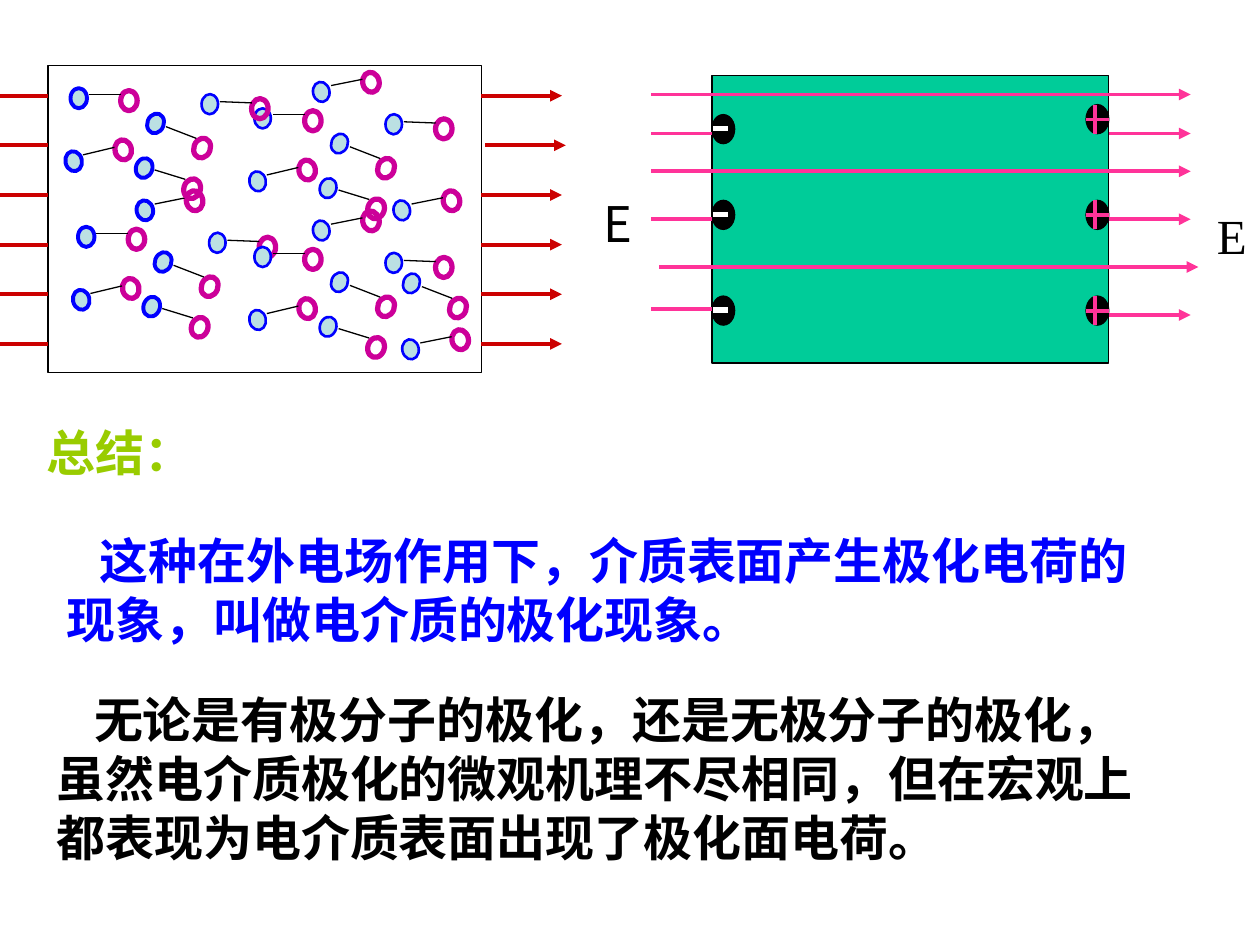
from dataclasses import dataclass

import pptx
import pptx.dml.color
import pptx.enum.shapes
import pptx.enum.text
import pptx.oxml
import pptx.oxml.ns
import pptx.util

Pt = pptx.util.Pt
RGBColor = pptx.dml.color.RGBColor
MSO_SHAPE = pptx.enum.shapes.MSO_SHAPE
TOP, LEFT, BOTTOM, RIGHT = range(4)

BLACK = RGBColor(0x00, 0x00, 0x00)
WHITE = RGBColor(0xFF, 0xFF, 0xFF)
BLUE = RGBColor(0x00, 0x00, 0xFF)
PALE_BLUE = RGBColor(0xBB, 0xE0, 0xE3)
PURPLE = RGBColor(0xCC, 0x00, 0x99)
RED = RGBColor(0xCC, 0x00, 0x00)
PINK = RGBColor(0xFF, 0x33, 0x99)
GREEN = RGBColor(0x00, 0xCC, 0x99)
LIME = RGBColor(0x99, 0xCC, 0x00)

CHINESE_FONT = "Noto Sans CJK SC"
LATIN_FONT = "Times New Roman"


@dataclass(frozen=True)
class Dipole:
    """Ring and bond places are measured from the blue end's corner."""
    rotation: float
    ring: tuple[float, float]
    bond: tuple[float, float, float, float]


@dataclass(frozen=True)
class Caption:
    text: str
    frame: tuple[float, float, float, float]
    color: RGBColor
    font: str = CHINESE_FONT
    bold: bool = True
    indent: float = 0
    line_height: float | None = 33.7
    wrap: bool = True


LEVEL = Dipole(0, (28.7, 1.4), (10.5, 3.7, 28.7, 3.7))
RISING = Dipole(-12.7, (28.3, -6.5), (10, 2.1, 28, -2.2))
GENTLE = Dipole(-11.2, (28.4, -5.5), (10.3, 2.1, 28.2, -1.5))
STEEP = Dipole(21, (26.6, 14.1), (10.7, 7.6, 28, 14.3))
FLAT = Dipole(2.2, (28.6, 2.6), (10.5, 4.3, 28.7, 5))
SLOPING = Dipole(17.2, (27.4, 11.8), (10.7, 6.8, 28.2, 12.2))

CLUSTER = [(LEVEL, 0, 0), (RISING, -2.9, 36), (GENTLE, 33.5, -15.1),
           (STEEP, 43.9, 14.4), (FLAT, 74.9, 3.4), (SLOPING, 37.4, 39.9)]
FULL_CLUSTERS = [(44.6, 129.6), (145.4, 141.1), (145.4, 61.9)]
PARTIAL_CLUSTER = (40.3, 50.4)
SINGLE_DIPOLES = [(GENTLE, 224.9, 114.5), (STEEP, 230.4, 156.2), (GENTLE, 229.9, 193.9)]

TITLE = Caption("总结：", (19.4, 237.8, 118.8, 41), LIME)
CAPTIONS = [
    Caption("E", (688.3, 113.8, 31.7, 41), BLACK, LATIN_FONT, bold=False,
            line_height=None, wrap=False),
    Caption("E", (337.7, 106.7, 31, 41), BLACK, bold=False, wrap=False),
    Caption("这种在外电场作用下，介质表面产生极化电荷的现象，叫做电介质的极化现象。",
            (31, 299.7, 640.8, 74.9), BLUE, indent=19),
    Caption("无论是有极分子的极化，还是无极分子的极化，虽然电介质极化的微观机理不尽相同，"
            "但在宏观上都表现为电介质表面出现了极化面电荷。",
            (25.2, 390.4, 632, 108), BLACK, indent=21.5),
]


def add_outline(page, preset, frame, line_color, line_width, fill=None, rotation=0):
    shape = page.shapes.add_shape(preset, *map(Pt, frame))
    shape.shadow.inherit = False
    shape.rotation = rotation
    if fill is None:
        shape.fill.background()
    else:
        shape.fill.solid()
        shape.fill.fore_color.rgb = fill
    shape.line.color.rgb = line_color
    shape.line.width = Pt(line_width)
    return shape


def add_line(page, ends, color, width=2.25, arrow=False):
    line = page.shapes.add_connector(
        pptx.enum.shapes.MSO_CONNECTOR.STRAIGHT, *map(Pt, ends))
    line.line.color.rgb = color
    line.line.width = Pt(width)
    properties = line._element.spPr
    if arrow:
        head = pptx.oxml.parse_xml(f'<a:tailEnd {pptx.oxml.ns.nsdecls("a")} type="triangle"/>')
        line.line._get_or_add_ln().append(head)
    properties.append(pptx.oxml.parse_xml(f'<a:effectLst {pptx.oxml.ns.nsdecls("a")}/>'))
    return line


def write_caption(box, caption: Caption) -> None:
    box.left, box.top, box.width, box.height = map(Pt, caption.frame)
    frame = box.text_frame
    frame_format = {
        "word_wrap": caption.wrap,
        "vertical_anchor": pptx.enum.text.MSO_ANCHOR.TOP,
        "auto_size": pptx.enum.text.MSO_AUTO_SIZE.SHAPE_TO_FIT_TEXT,
        "margin_left": Pt(7.2), "margin_right": Pt(7.2),
        "margin_top": Pt(3.6), "margin_bottom": Pt(3.6),
    }
    for name, value in frame_format.items():
        setattr(frame, name, value)
    para = frame.paragraphs[0]
    para.alignment = pptx.enum.text.PP_ALIGN.LEFT
    if caption.line_height:
        para.line_spacing = Pt(caption.line_height)
    if caption.indent:
        para._p.get_or_add_pPr().set("indent", str(Pt(caption.indent)))
    span = para.add_run()
    span.text = caption.text
    font_format = {"name": caption.font, "size": Pt(28), "bold": caption.bold}
    for name, value in font_format.items():
        setattr(span.font, name, value)
    span.font.color.rgb = caption.color
    span.font._element.append(pptx.oxml.parse_xml(
        f'<a:ea {pptx.oxml.ns.nsdecls("a")} typeface="{caption.font}"/>'))


def add_dipole(page, dipole: Dipole, left: float, top: float) -> None:
    size = (9.4, 11.5)
    blue_width = 2.25 if left < 108 else 1.5
    add_outline(page, MSO_SHAPE.OVAL, (left, top, *size), BLUE, blue_width,
                PALE_BLUE, dipole.rotation)
    ring_x, ring_y = dipole.ring
    add_outline(page, MSO_SHAPE.OVAL, (left + ring_x, top + ring_y, *size), PURPLE, 3,
                rotation=dipole.rotation)
    x1, y1, x2, y2 = dipole.bond
    add_line(page, (left + x1, top + y1, left + x2, top + y2), BLACK, 0.75)


def add_charge(page, left: float, top: float, positive: bool) -> None:
    add_outline(page, MSO_SHAPE.OVAL, (left, top, 13, 16.6), BLACK, 0.75, BLACK)
    if positive:
        add_line(page, (left, top + 8.5, left + 13, top + 8.5), PINK)
        add_line(page, (left + 5.2, top, left + 5.2, top + 16.6), PINK)
    else:
        add_line(page, (left + 0.7, top + 7.9, left + 9.4, top + 7.9), WHITE, 3)


def draw_polarized_slab(page) -> None:
    left, right = 406.8, 633.6
    slab = add_outline(page, MSO_SHAPE.RECTANGLE, (left, 43.2, right - left, 164.2),
                       BLACK, 0.75, GREEN)
    for top in (65.5, 114.5, 169.2):
        add_charge(page, left, top, positive=False)
    for top in (59.8, 114.5, 169.2):
        add_charge(page, right - 13, top, positive=True)
    for start, y in ((372.2, 54), (376.6, 152.6), (372.2, 97.9)):
        add_line(page, (start, y, start + 308.2, y), PINK, arrow=True)
    add_line(page, (389.5, 97.9, 423.4, 97.9), PINK)
    middle = 125.3
    for y_in, y_out in ((76.3, 76.3), (middle, middle), (176.4, 180)):
        incoming = add_line(page, (372.2, y_in, left, y_in), PINK)
        outgoing = add_line(page, (right, y_out, 680.4, y_out), PINK, arrow=True)
        if y_in == middle:
            incoming.end_connect(slab, LEFT)
            outgoing.begin_connect(slab, RIGHT)


def draw_dipole_box(page) -> None:
    for x, y in FULL_CLUSTERS:
        for dipole, dx, dy in CLUSTER:
            add_dipole(page, dipole, x + dx, y + dy)
    x, y = PARTIAL_CLUSTER
    for dipole, dx, dy in CLUSTER:
        if dipole is not GENTLE:
            add_dipole(page, dipole, x + dx, y + dy)
    for dipole, left, top in SINGLE_DIPOLES:
        add_dipole(page, dipole, left, top)
    add_outline(page, MSO_SHAPE.RECTANGLE, (27.4, 37.4, 247.7, 175.7), BLACK, 0.75)
    for row in range(6):
        y = 54.7 + 28.36 * row
        start = 277.2 if row == 1 else 275
        add_line(page, (0, y, 27.4, y), RED)
        add_line(page, (start, y, start + 46.1, y), RED, arrow=True)


def main() -> None:
    deck = pptx.Presentation()
    deck.slide_width, deck.slide_height = Pt(720), Pt(540)
    page = deck.slides.add_slide(deck.slide_layouts[5])
    write_caption(page.shapes.title, TITLE)
    draw_polarized_slab(page)
    draw_dipole_box(page)
    for caption in CAPTIONS:
        box = page.shapes.add_textbox(*map(Pt, caption.frame))
        write_caption(box, caption)
    deck.save("out.pptx")


if __name__ == "__main__":
    main()
